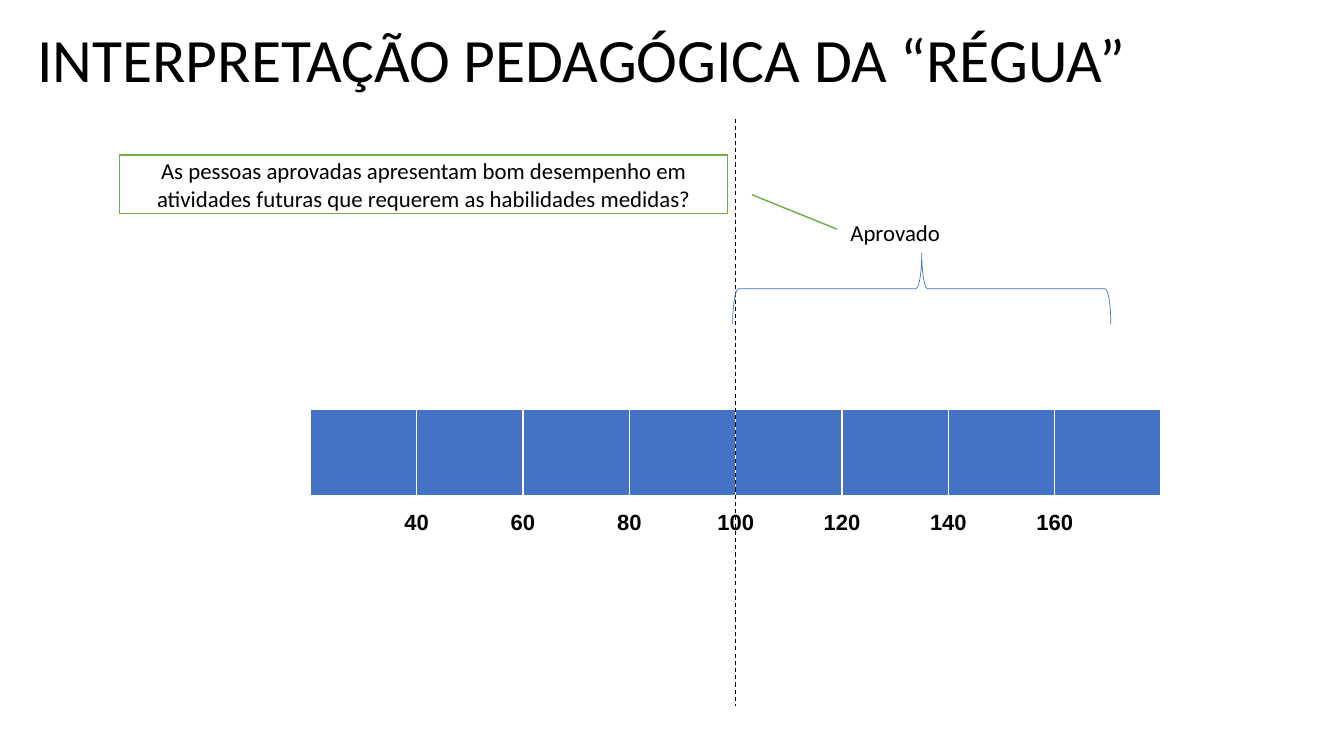
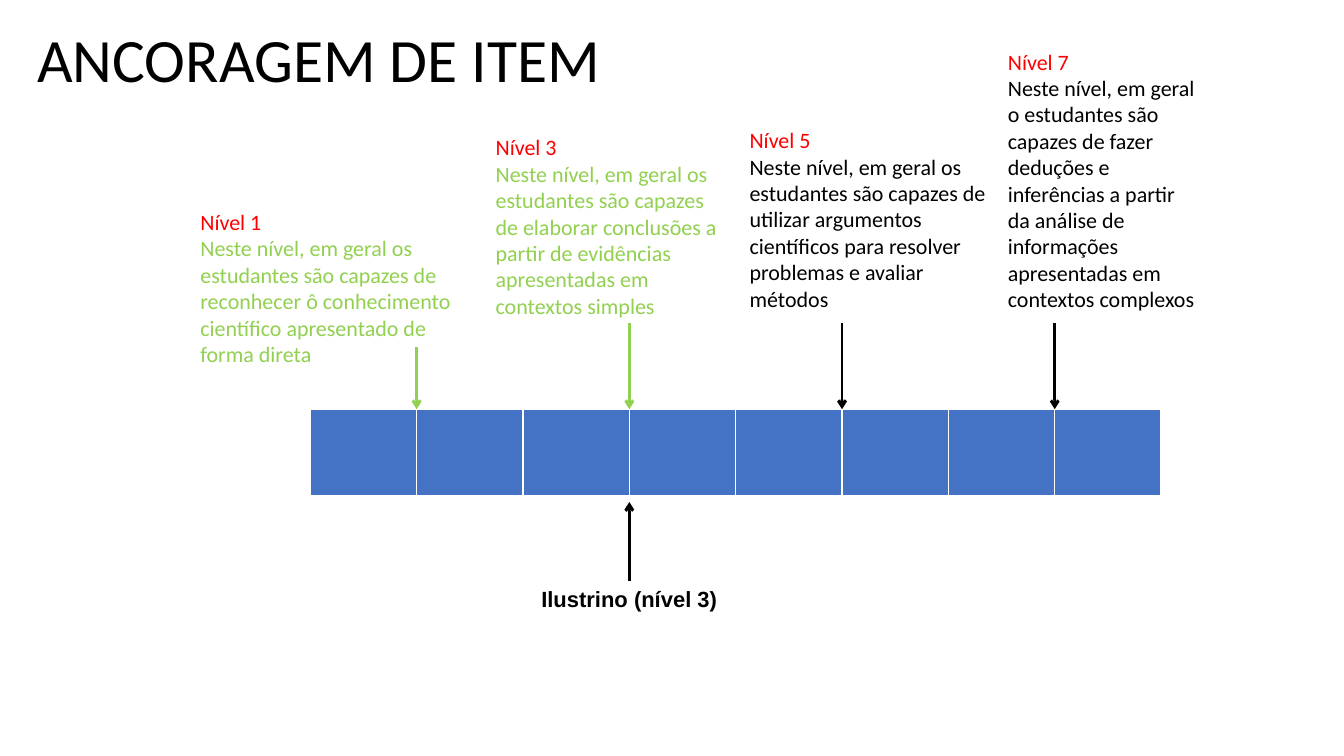
from lxml.etree import SubElement
from pptx import Presentation
from pptx.dml.color import RGBColor
from pptx.enum.dml import MSO_LINE
from pptx.enum.shapes import MSO_CONNECTOR, MSO_SHAPE
from pptx.enum.text import MSO_ANCHOR, PP_ALIGN
from pptx.oxml.ns import qn
from pptx.util import Cm, Pt

INK = {
    "black": "000000",
    "white": "FFFFFF",
    "blue": "4472C4",
    "green": "70AD47",
    "lime": "92D050",
    "red": "FF0000",
}

LEFT, TOP, CELL, HIGH, COUNT = 7.82, 10.31, 2.68, 2.21, 8

LEVELS = [
    ("Nível 1", "reconhecer ô conhecimento científico apresentado de forma direta",
     "estudantes", "lime", (4.8, 5.13, 7.44, 4.27), 1, 8.74),
    ("Nível 3", "elaborar conclusões a partir de evidências apresentadas em contextos simples",
     "estudantes", "lime", (12.24, 3.25, 6.25, 4.95), 3, 8.15),
    ("Nível 5", "utilizar argumentos científicos para resolver problemas e avaliar métodos",
     "estudantes", "black", (18.64, 3.07, 6.5, 4.95), 5, 8.15),
    ("Nível 7", "fazer deduções e inferências a partir da análise de informações "
     "apresentadas em contextos complexos",
     "o estudantes", "black", (25.15, 1.09, 5.26, 6.96), 7, 8.15),
]


def rgb(name):
    return RGBColor.from_string(INK[name])


def tick(index):
    return LEFT + CELL * index


def write(frame, *lines, size=15.7, font="Calibri", bold=False, align=PP_ALIGN.LEFT,
          anchor=MSO_ANCHOR.TOP, space=1.0, tabs=()):
    frame.word_wrap = True
    frame.vertical_anchor = anchor
    for i, (words, ink) in enumerate(lines):
        para = frame.paragraphs[0] if i == 0 else frame.add_paragraph()
        para.alignment = align
        para.line_spacing = space
        if tabs:
            stops = SubElement(para._p.get_or_add_pPr(), qn("a:tabLst"))
            for stop in tabs:
                SubElement(stops, qn("a:tab"), pos=str(Cm(stop)), algn="ctr")
        run = para.add_run()
        run.text = words
        run.font.name = font
        run.font.size = Pt(size)
        run.font.bold = bold
        run.font.color.rgb = rgb(ink)


class Deck:
    def __init__(self):
        self.file = Presentation()
        self.file.slide_width = Cm(33.87)
        self.file.slide_height = Cm(19.05)
        self.shapes = None

    def start(self, title):
        slide = self.file.slides.add_slide(self.file.slide_layouts[6])
        self.shapes = slide.shapes
        self.label((0.69, 0.56, 32.51, 2.01), (title, "black"), size=44,
                   space=0.9, anchor=MSO_ANCHOR.MIDDLE)
        self.ruler()

    def label(self, box, *lines, **style):
        shape = self.shapes.add_textbox(*map(Cm, box))
        write(shape.text_frame, *lines, **style)
        return shape

    def ruler(self):
        grid = self.shapes.add_table(1, COUNT, Cm(LEFT), Cm(TOP),
                                     Cm(CELL * COUNT), Cm(HIGH)).table
        grid.first_row = grid.horz_banding = False
        for cell in grid.iter_cells():
            props = cell._tc.get_or_add_tcPr()
            for side, width in (("L", 1), ("R", 1), ("T", 1), ("B", 3)):
                edge = SubElement(props, qn("a:ln" + side), w=str(Pt(width)))
                fill = SubElement(edge, qn("a:solidFill"))
                SubElement(fill, qn("a:srgbClr"), val=INK["white"])
            cell.fill.solid()
            cell.fill.fore_color.rgb = rgb("blue")

    def line(self, x, top, end, ink="black", width=2.0, dash=None, arrow=True):
        link = self.shapes.add_connector(MSO_CONNECTOR.STRAIGHT,
                                         Cm(x), Cm(top), Cm(x), Cm(end))
        link.line.color.rgb = rgb(ink)
        link.line.width = Pt(width)
        if dash:
            link.line.dash_style = dash
        if arrow:
            SubElement(link.line._get_or_add_ln(), qn("a:tailEnd"), type="arrow")
        SubElement(link._element.spPr, qn("a:effectLst"))

    def shape(self, kind, box, ink, width, fill=None):
        form = self.shapes.add_shape(kind, *map(Cm, box))
        form.shadow.inherit = False
        form.line.color.rgb = rgb(ink)
        form.line.width = Pt(width)
        if fill:
            form.fill.solid()
            form.fill.fore_color.rgb = rgb(fill)
        else:
            form.fill.background()
        return form

    def brace(self, box):
        form = self.shape(MSO_SHAPE.RIGHT_BRACE, box, "blue", 0.5)
        form.rotation = 270

    def callout(self, box, words, points):
        form = self.shape(MSO_SHAPE.LINE_CALLOUT_1, box, "green", 1, "white")
        for i, point in enumerate(points):
            form.adjustments[i] = point
        write(form.text_frame, (words, "black"), size=16.3,
              align=PP_ALIGN.CENTER, anchor=MSO_ANCHOR.MIDDLE)


def scale(deck):
    deck.start("INTERPRETAÇÃO PEDAGÓGICA DA “RÉGUA”")
    deck.line(tick(4), 3, 17.78, width=0.75, dash=MSO_LINE.DASH, arrow=False)
    deck.brace((22.33, 2.51, 1.8, 9.53))
    deck.label((21.18, 5.38, 2.87, 0.97), ("Aprovado", "black"), size=16.3)
    deck.callout((3.02, 3.91, 15.32, 1.47),
                 "As pessoas aprovadas apresentam bom desempenho em atividades "
                 "futuras que requerem as habilidades medidas?",
                 (0.68, 1.04, 1.27, 1.18))
    marks = range(1, COUNT)
    words = "".join(f"\t{20 + 20 * i}" for i in marks)
    row = deck.label((LEFT, 12.7, CELL * COUNT, 0.91), (words, "black"),
                     font="Arial", bold=True, tabs=[CELL * i for i in marks])
    row.text_frame.margin_left = row.text_frame.margin_right = 0


def anchors(deck):
    deck.start("ANCORAGEM DE ITEM")
    for head, skill, who, ink, box, mark, top in LEVELS:
        body = f"Neste nível, em geral {who} são capazes de {skill}"
        if not who.startswith("o "):
            body = body.replace("geral ", "geral os ")
        deck.label(box, (head, "red"), (body, ink))
        deck.line(tick(mark), top, TOP, ink)
    deck.label((tick(3) - 4.9, 14.63, 9.8, 0.91), ("Ilustrino (nível 3)", "black"),
               font="Arial", bold=True, align=PP_ALIGN.CENTER)
    deck.line(tick(3), 14.63, 12.65)


def main():
    deck = Deck()
    scale(deck)
    anchors(deck)
    deck.file.save("out.pptx")


if __name__ == "__main__":
    main()
